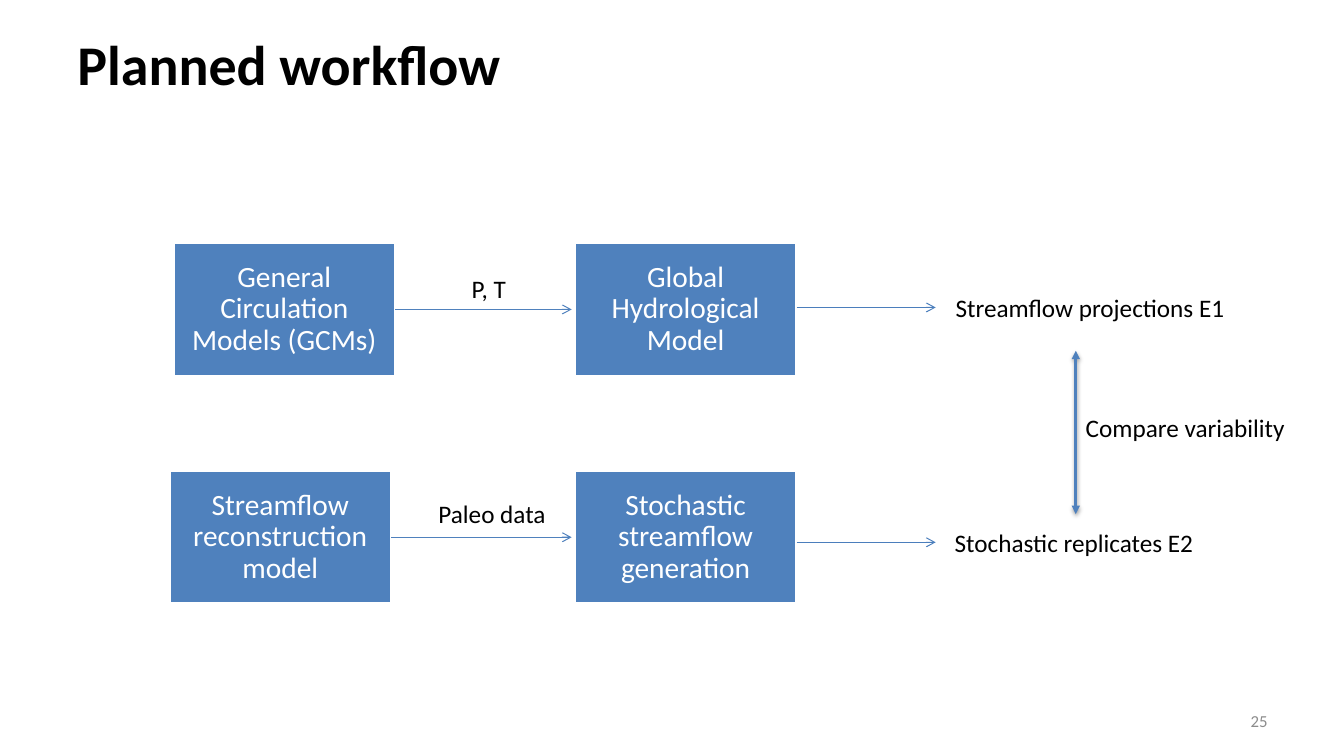
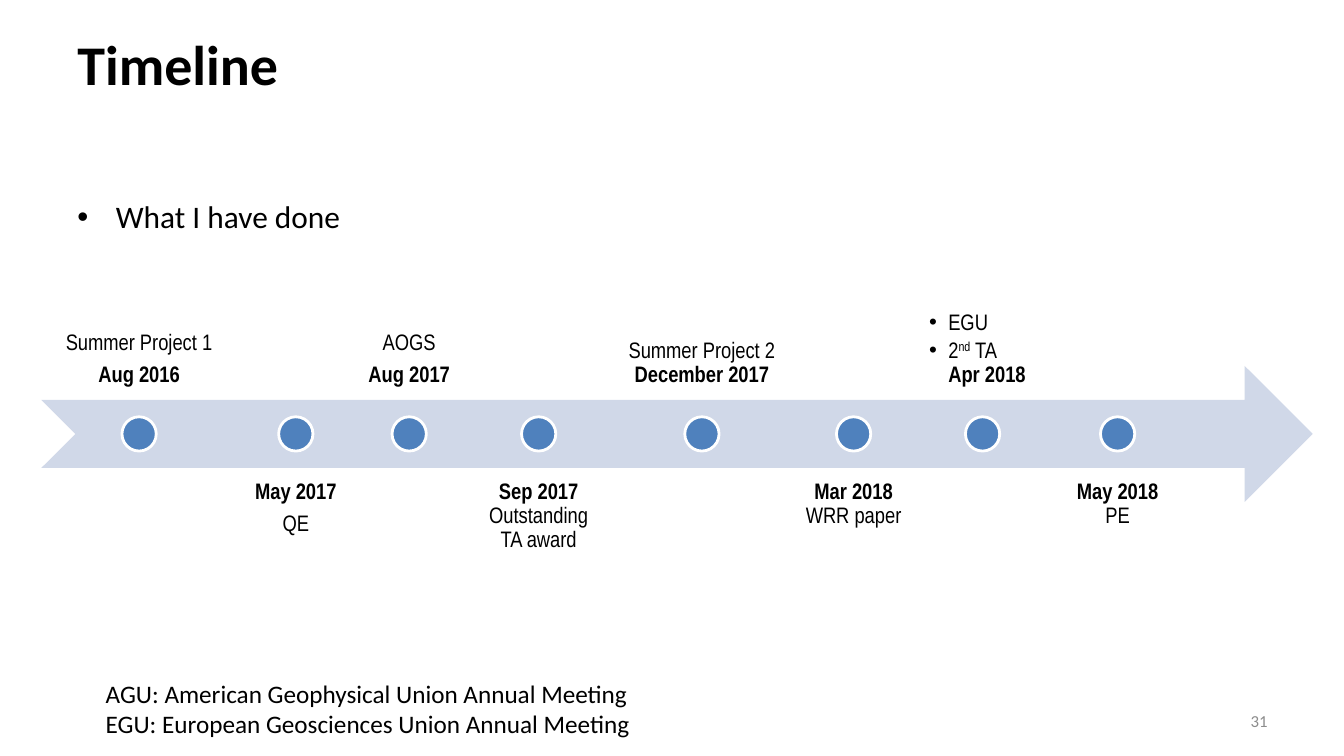
"""Build two slides: a planned modelling workflow and a project timeline."""
from lxml.etree import SubElement
from pptx import Presentation
from pptx.dml.color import RGBColor
from pptx.enum.shapes import MSO_CONNECTOR, MSO_SHAPE as Shape
from pptx.enum.text import MSO_ANCHOR as Anchor, PP_ALIGN as Align
from pptx.oxml.ns import qn
from pptx.util import Inches, Pt

COLORS = {
    "text": "000000", "inverse": "FFFFFF", "number": "8C8C8C",
    "accent": "4F81BD", "output": "4B7EBC", "band": "D0D8E8",
}
BODY, NARROW = "Calibri", "Arial Narrow"

WORKFLOW = [
    {"top": 2.41, "left": 1.72,
     "steps": ["General Circulation Models (GCMs)", "Global Hydrological Model"],
     "input": ("P, T", 4.58, 2.66, 0.54),
     "output": ("Streamflow projections E1", 9.38, 2.85, 2.9)},
    {"top": 4.67, "left": 1.68,
     "steps": ["Streamflow reconstruction model", "Stochastic streamflow generation"],
     "input": ("Paleo data", 4.25, 4.89, 1.62),
     "output": ("Stochastic replicates E2", 9.37, 5.18, 2.59)},
]
COMPARISON = ("Compare variability", 10.67, 4.04, 2.25)
STEP_W, STEP_H, SECOND_LEFT = 2.2, 1.32, 5.7
LABEL_H = 0.4

SPACED, TIGHT = 5.6, 0
EVENTS = [
    ("Aug 2016", ["Summer Project 1"], 1.94, SPACED),
    ("May 2017", ["QE"], 1.12, SPACED),
    ("Aug 2017", ["AOGS"], 1.08, SPACED),
    ("Sep 2017", ["Outstanding TA award"], 1.44, TIGHT),
    ("December 2017", ["Summer Project 2"], 1.75, TIGHT),
    ("Mar 2018", ["WRR paper"], 1.21, TIGHT),
    ("Apr 2018", ["EGU", "2^nd^ TA"], 1.3, TIGHT),
    ("May 2018", ["PE"], 1.33, TIGHT),
]
EVENTS_LEFT, EVENTS_SPAN, EVENT_H = 0.41, 11.34, 1.35
ABOVE_TOP, BELOW_TOP = 2.61, 4.64
BAND_TOP, BAND_W, DOT = 3.63, 12.61, 0.34
MEETINGS = [
    "AGU: American Geophysical Union Annual Meeting",
    "EGU: European Geosciences Union Annual Meeting",
]


def rgb(name):
    return RGBColor.from_string(COLORS[name])


def indent(paragraph, width, bullet=True):
    props = paragraph._p.get_or_add_pPr()
    props.set("marL", str(Inches(width)))
    props.set("indent", str(-Inches(width) if bullet else 0))
    if bullet:
        SubElement(props, qn("a:buFont")).set("typeface", "Arial")
        SubElement(props, qn("a:buChar")).set("char", "•")


def style(paragraph, size, color="text", font=BODY, bold=False, align=Align.LEFT):
    paragraph.alignment = align
    paragraph.font.size = Pt(size)
    paragraph.font.name = font
    paragraph.font.bold = bold
    paragraph.font.color.rgb = rgb(color)


def add_text(slide, box, lines, size=18, anchor=Anchor.TOP, wrap=True, **look):
    frame = slide.shapes.add_textbox(*map(Inches, box)).text_frame
    frame.word_wrap = wrap
    frame.vertical_anchor = anchor
    for i, line in enumerate(lines):
        paragraph = frame.paragraphs[0] if i == 0 else frame.add_paragraph()
        paragraph.text = line
        style(paragraph, size, **look)
    return frame


def add_label(slide, text, left, top, width):
    add_text(slide, (left, top, width, LABEL_H), [text], wrap=False)


def add_block(slide, kind, box, fill, outline=None):
    block = slide.shapes.add_shape(kind, *map(Inches, box))
    block.shadow.inherit = False
    block.fill.solid()
    block.fill.fore_color.rgb = rgb(fill)
    if outline:
        block.line.color.rgb = rgb(outline)
        block.line.width = Pt(2)
    else:
        block.line.fill.background()
    return block


def add_arrow(slide, start, end, color="accent", width=0.75, tail="arrow", head=None):
    arrow = slide.shapes.add_connector(MSO_CONNECTOR.STRAIGHT, *map(Inches, start + end))
    arrow.line.color.rgb = rgb(color)
    arrow.line.width = Pt(width)
    line = arrow.line._get_or_add_ln()
    for tag, kind in (("a:headEnd", head), ("a:tailEnd", tail)):
        if kind:
            SubElement(line, qn(tag)).set("type", kind)
    return SubElement(arrow._element.spPr, qn("a:effectLst"))


def add_shadow(effects):
    shadow = SubElement(effects, qn("a:outerShdw"), blurRad=str(Pt(3.1)),
                        dist=str(Pt(1.6)), dir="5400000", rotWithShape="0")
    color = SubElement(shadow, qn("a:srgbClr"), val=COLORS["text"])
    SubElement(color, qn("a:alpha"), val="38000")


def new_slide(deck, title, number):
    slide = deck.slides.add_slide(deck.slide_layouts[6])
    add_text(slide, (0.67, 0, 12, 1.25), [title], 40, Anchor.MIDDLE, bold=True)
    add_text(slide, (9.56, 6.95, 3.11, 0.4), [number], 12, Anchor.MIDDLE,
             color="number", align=Align.RIGHT)
    return slide


def set_insets(frame, inset):
    frame.margin_left = frame.margin_right = Inches(inset)
    frame.margin_top = frame.margin_bottom = Inches(inset)


def add_step(slide, text, left, top):
    box = (left, top, STEP_W, STEP_H)
    frame = add_block(slide, Shape.RECTANGLE, box, "accent", "inverse").text_frame
    set_insets(frame, 0.16)
    frame.word_wrap = True
    frame.vertical_anchor = Anchor.MIDDLE
    step = frame.paragraphs[0]
    step.text = text
    step.line_spacing = 0.9
    style(step, 21, "inverse", align=Align.CENTER)


def build_workflow(deck):
    slide = new_slide(deck, "Planned workflow", "25")
    for row in WORKFLOW:
        top, left, output = row["top"], row["left"], row["output"]
        for text, step_left in zip(row["steps"], (left, SECOND_LEFT)):
            add_step(slide, text, step_left, top)
        middle = top + STEP_H / 2
        add_arrow(slide, (left + STEP_W, middle), (SECOND_LEFT - 0.03, middle))
        add_label(slide, *row["input"])
        result_y = output[2] + LABEL_H / 2
        add_arrow(slide, (SECOND_LEFT + STEP_W, result_y), (9.28, result_y), "output")
        add_label(slide, *output)
    add_shadow(add_arrow(slide, (10.67, 3.48), (10.67, 5.1), width=2,
                         tail="triangle", head="triangle"))
    add_label(slide, *COMPARISON)


def add_event(slide, box, date, notes, gap, above):
    listed = len(notes) > 1
    lines = notes + [date] if above else [date] + notes
    frame = add_text(slide, box, [""] * len(lines), 16,
                     Anchor.BOTTOM if above else Anchor.TOP)
    set_insets(frame, 0.12)
    for i, (paragraph, line) in enumerate(zip(frame.paragraphs, lines)):
        for part, text in enumerate(line.split("^")):
            run = paragraph.add_run()
            run.text = text
            if part % 2:
                run._r.get_or_add_rPr().set("baseline", "30000")
        paragraph.line_spacing = 0.9
        if i:
            paragraph.space_before = Pt(2.4 if listed and line != date else gap)
        if listed:
            paragraph._p.get_or_add_pPr().remove_all("a:defRPr")
            indent(paragraph, 0.19, bullet=line != date)
        style(paragraph, 16, font=NARROW, bold=line == date,
              align=Align.LEFT if listed else Align.CENTER)


def build_timeline(deck):
    slide = new_slide(deck, "Timeline", "31")
    heading = add_text(slide, (0.67, 1.91, 12, 0.4), [""]).paragraphs[0]
    heading.text = "What I have done"
    heading._p.get_or_add_pPr().remove_all("a:defRPr")
    indent(heading, 0.38)
    style(heading, 22.4)

    add_block(slide, Shape.NOTCHED_RIGHT_ARROW,
              (EVENTS_LEFT, BAND_TOP, BAND_W, EVENT_H), "band")
    gap_between = (EVENTS_SPAN - sum(event[2] for event in EVENTS)) / (len(EVENTS) - 1)
    dot_top = BAND_TOP + (EVENT_H - DOT) / 2
    left = EVENTS_LEFT
    for i, (date, notes, width, gap) in enumerate(EVENTS):
        above = i % 2 == 0
        box = (left, ABOVE_TOP if above else BELOW_TOP, width, EVENT_H)
        add_event(slide, box, date, notes, gap, above)
        add_block(slide, Shape.OVAL, (left + (width - DOT) / 2, dot_top, DOT, DOT),
                  "accent", "inverse")
        left += width + gap_between
    add_text(slide, (0.95, 6.68, 5.44, 0.71), MEETINGS, wrap=False)


def main():
    deck = Presentation()
    deck.slide_width, deck.slide_height = Inches(13.33), Inches(7.5)
    build_workflow(deck)
    build_timeline(deck)
    deck.save("out.pptx")


if __name__ == "__main__":
    main()
